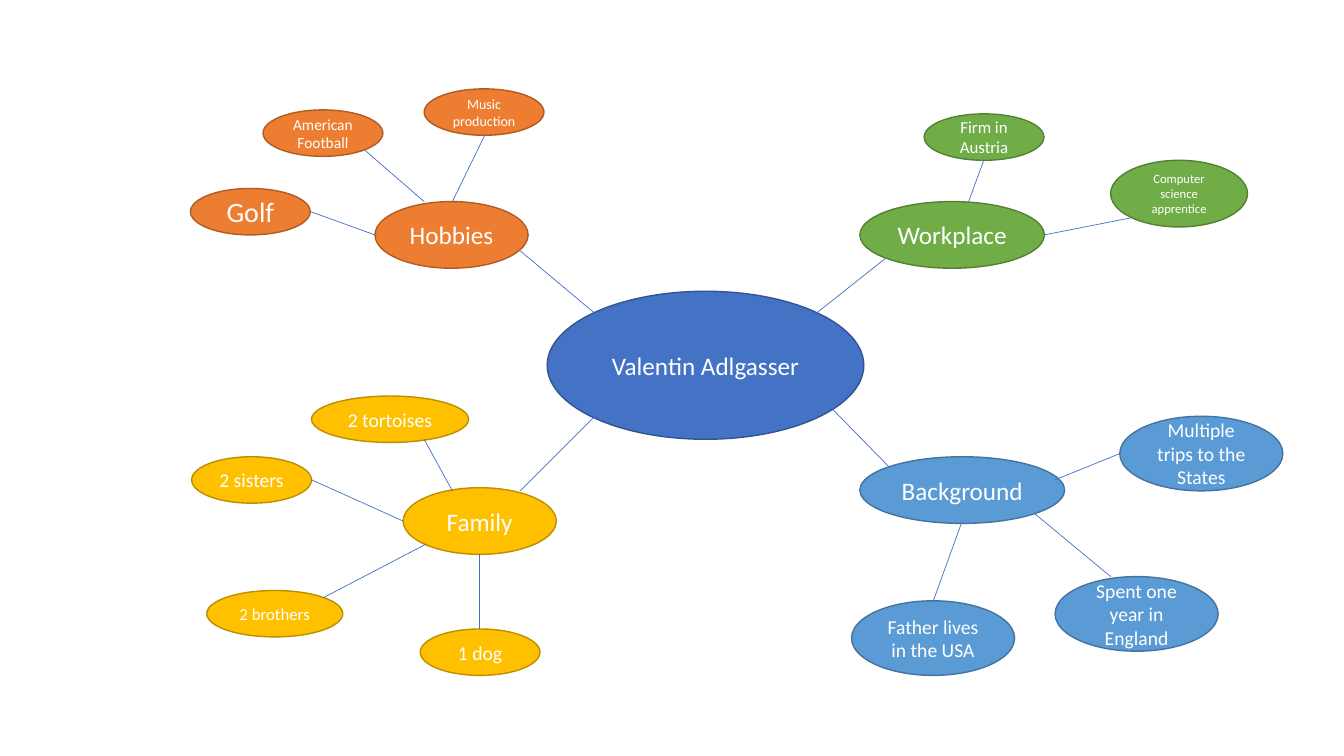
from pptx import Presentation
from pptx.dml.color import RGBColor
from pptx.enum.shapes import MSO_CONNECTOR, MSO_SHAPE
from pptx.enum.text import MSO_ANCHOR, PP_ALIGN
from pptx.oxml.ns import qn
from pptx.util import Cm, Pt
from lxml.etree import SubElement

WHITE = RGBColor(0xFF, 0xFF, 0xFF)
BLUE, BLUE_EDGE = RGBColor(0x44, 0x72, 0xC4), RGBColor(0x32, 0x54, 0x91)
ORANGE, ORANGE_EDGE = RGBColor(0xED, 0x7D, 0x31), RGBColor(0xAF, 0x5C, 0x24)
GREEN, GREEN_EDGE = RGBColor(0x70, 0xAD, 0x47), RGBColor(0x53, 0x80, 0x35)
GOLD, GOLD_EDGE = RGBColor(0xFF, 0xC0, 0x00), RGBColor(0xBD, 0x8E, 0x00)
SKY, SKY_EDGE = RGBColor(0x5B, 0x9B, 0xD5), RGBColor(0x43, 0x73, 0x9E)

HUB = (3.86, 1.68)
LEAF = (3.02, 1.17)
BUBBLE = (4.11, 1.88)

BRANCHES = [
    (ORANGE, ORANGE_EDGE, [
        ("Hobbies", 18, (9.45, 5.08), HUB, (13.11, 6.32, 14.96, 7.87)),
        ("American Football", 11, (6.63, 2.77), LEAF, (9.19, 3.78, 10.69, 5.08)),
        ("Golf", 20, (4.8, 4.75), LEAF, (7.82, 5.33, 9.45, 5.92)),
        ("Music production", 10, (10.69, 2.24), LEAF, (12.22, 3.4, 11.4, 5.08)),
    ]),
    (GREEN, GREEN_EDGE, [
        ("Workplace", 18, (21.67, 5.08), (4.65, 1.68), (20.6, 7.87, 22.33, 6.5)),
        ("Firm in Austria", 12, (23.29, 2.87), LEAF, (24.41, 5.08, 24.79, 4.04)),
        ("Computer science apprentice", 9, (27.99, 4.04), (3.45, 1.68),
         (26.31, 5.92, 28.5, 5.49)),
    ]),
    (GOLD, GOLD_EDGE, [
        ("Family", 18, (10.16, 12.29), HUB, (13.11, 12.37, 14.96, 10.52)),
        ("2 sisters", 14, (4.83, 11.51), LEAF, (7.85, 12.09, 10.16, 13.13)),
        ("2 brothers", 12, (5.21, 14.88), (3.43, 1.17), (8.15, 15.06, 10.72, 13.72)),
        ("1 dog", 14, (10.59, 15.85), LEAF, (12.09, 13.97, 12.09, 15.85)),
        ("2 tortoises", 14, (7.85, 9.98), (3.96, 1.17), (10.69, 11.07, 11.4, 12.37)),
    ]),
    (SKY, SKY_EDGE, [
        ("Background", 18, (21.67, 11.51), (5.16, 1.68), (20.98, 10.31, 22.4, 11.76)),
        ("Father lives in the USA", 14, (21.46, 15.14), BUBBLE,
         (24.23, 13.18, 23.52, 15.14)),
        ("Spent one year in England", 14, (26.59, 14.53), BUBBLE,
         (26.06, 12.93, 27.99, 14.53)),
        ("Multiple trips to the States", 14, (28.22, 10.49), BUBBLE,
         (26.59, 12.09, 28.22, 11.43)),
    ]),
]


class MindMap:
    font = "Calibri"
    edge_width = Pt(1)
    link_width = Pt(0.5)

    def __init__(self, slide):
        self.slide = slide

    def node(self, text, size, pos, extent, fill, edge):
        sp = self.slide.shapes.add_shape(MSO_SHAPE.OVAL, *map(Cm, pos + extent))
        sp.shadow.inherit = False
        sp.fill.solid()
        sp.fill.fore_color.rgb = fill
        sp.line.color.rgb = edge
        sp.line.width = self.edge_width
        tf = sp.text_frame
        tf.word_wrap = True
        tf.vertical_anchor = MSO_ANCHOR.MIDDLE
        p = tf.paragraphs[0]
        p.alignment = PP_ALIGN.CENTER
        r = p.add_run()
        r.text = text
        for name, value in {"name": self.font, "size": Pt(size)}.items():
            setattr(r.font, name, value)
        r.font.color.rgb = WHITE

    def link(self, ends):
        sp = self.slide.shapes.add_connector(MSO_CONNECTOR.STRAIGHT, *map(Cm, ends))
        sp.line.color.rgb = BLUE
        sp.line.width = self.link_width
        SubElement(sp._element.spPr, qn("a:effectLst"))


prs = Presentation()
for name, value in {"slide_width": Cm(33.87), "slide_height": Cm(19.05)}.items():
    setattr(prs, name, value)
s = prs.slides.add_slide(prs.slide_layouts[6])

mind_map = MindMap(s)
mind_map.node("Valentin Adlgasser", 18, (13.79, 7.34), (7.98, 3.73), BLUE, BLUE_EDGE)
for fill, edge, nodes in BRANCHES:
    for text, size, pos, extent, ends in nodes:
        mind_map.node(text, size, pos, extent, fill, edge)
    for *_, ends in nodes:
        mind_map.link(ends)

prs.save("out.pptx")
